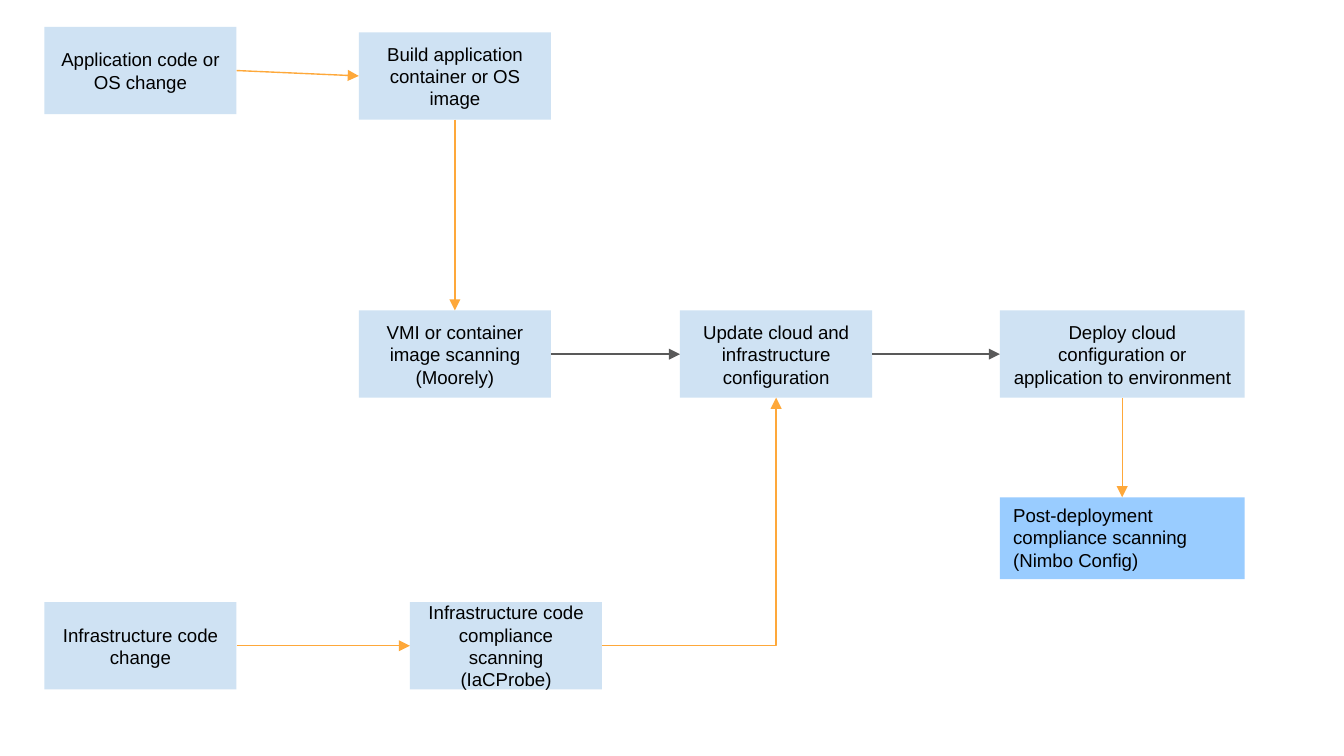
from pptx import Presentation, util as u
from pptx.dml.color import RGBColor
from pptx.enum import shapes, text
from pptx.oxml.ns import qn
from lxml import etree

PALE, SKY, ORANGE, GREY = "CFE2F3", "99CCFF", "FEA83A", "595959"
TOP, LEFT, BOTTOM, RIGHT = range(4)
STRAIGHT, ELBOW = shapes.MSO_CONNECTOR.STRAIGHT, shapes.MSO_CONNECTOR.ELBOW
STEP_WIDTH, STEP_HEIGHT, WIDE = 1.43, 0.65, 1.82
MIDDLE_ROW, BOTTOM_ROW = 2.31, 4.48


def color(value):
    return RGBColor.from_string(value)


def add_box(slide, label, left, top, width, height, fill):
    box = slide.shapes.add_shape(shapes.MSO_SHAPE.RECTANGLE,
                                 *map(u.Inches, (left, top, width, height)))
    box.shadow.inherit = False
    box.fill.solid()
    box.fill.fore_color.rgb = color(fill)
    box.line.fill.background()
    frame = box.text_frame
    frame.word_wrap = True
    frame.text = label
    font = frame.paragraphs[0].runs[0].font
    font.name, font.size = "Arial", u.Pt(10)
    font.color.rgb = color("000000")
    return box


def add_step(slide, label, left, top, width=STEP_WIDTH):
    step = add_box(slide, label, left, top, width, STEP_HEIGHT, PALE)
    frame = step.text_frame
    frame.vertical_anchor = text.MSO_ANCHOR.MIDDLE
    frame.margin_left = frame.margin_right = u.Inches(0.1)
    frame.margin_top = frame.margin_bottom = u.Inches(0.1)
    frame.paragraphs[0].alignment = text.PP_ALIGN.CENTER
    return step


def add_check(slide, label, left, top):
    check = add_box(slide, label, left, top, WIDE, 0.61, SKY)
    frame = check.text_frame
    frame.vertical_anchor = text.MSO_ANCHOR.TOP
    frame.auto_size = text.MSO_AUTO_SIZE.SHAPE_TO_FIT_TEXT
    frame.paragraphs[0].alignment = text.PP_ALIGN.LEFT
    return check


def add_arrow(slide, start, start_side, end, end_side, line_color=ORANGE, kind=STRAIGHT):
    arrow = slide.shapes.add_connector(kind, 0, 0, 0, 0)
    arrow.begin_connect(start, start_side)
    arrow.end_connect(end, end_side)
    arrow.line.color.rgb = color(line_color)
    arrow.line.width = u.Pt(0.75)
    properties = arrow._element.spPr
    if kind == ELBOW and (start_side, end_side) == (RIGHT, BOTTOM):
        properties.find(qn("a:prstGeom")).set("prst", "bentConnector2")
    etree.SubElement(properties.find(qn("a:ln")), qn("a:tailEnd"), type="triangle")
    etree.SubElement(properties, qn("a:effectLst"))


def build_pipeline(slide):
    code_change = add_step(slide, "Application code or OS change", 0.33, 0.2)
    build = add_step(slide, "Build application container or OS image", 2.67, 0.24)
    image_scan = add_step(slide, "VMI or container image scanning (Moorely)", 2.67, MIDDLE_ROW)
    update = add_step(slide, "Update cloud and infrastructure configuration", 5.06, MIDDLE_ROW)
    deploy = add_step(slide, "Deploy cloud configuration or application to environment",
                      7.44, MIDDLE_ROW, WIDE)
    infra_change = add_step(slide, "Infrastructure code change", 0.33, BOTTOM_ROW)
    infra_scan = add_step(slide, "Infrastructure code compliance scanning (IaCProbe)",
                          3.05, BOTTOM_ROW)
    post_scan = add_check(slide, "Post-deployment compliance scanning (Nimbo Config)", 7.44, 3.7)

    add_arrow(slide, code_change, RIGHT, build, LEFT)
    add_arrow(slide, build, BOTTOM, image_scan, TOP)
    add_arrow(slide, image_scan, RIGHT, update, LEFT, GREY, ELBOW)
    add_arrow(slide, update, RIGHT, deploy, LEFT, GREY, ELBOW)
    add_arrow(slide, infra_change, RIGHT, infra_scan, LEFT)
    add_arrow(slide, infra_scan, RIGHT, update, BOTTOM, ORANGE, ELBOW)
    add_arrow(slide, deploy, BOTTOM, post_scan, TOP)


deck = Presentation()
deck.slide_width = u.Inches(10)
deck.slide_height = deck.slide_width * 9 // 16
build_pipeline(deck.slides.add_slide(deck.slide_layouts[6]))
deck.save("out.pptx")
